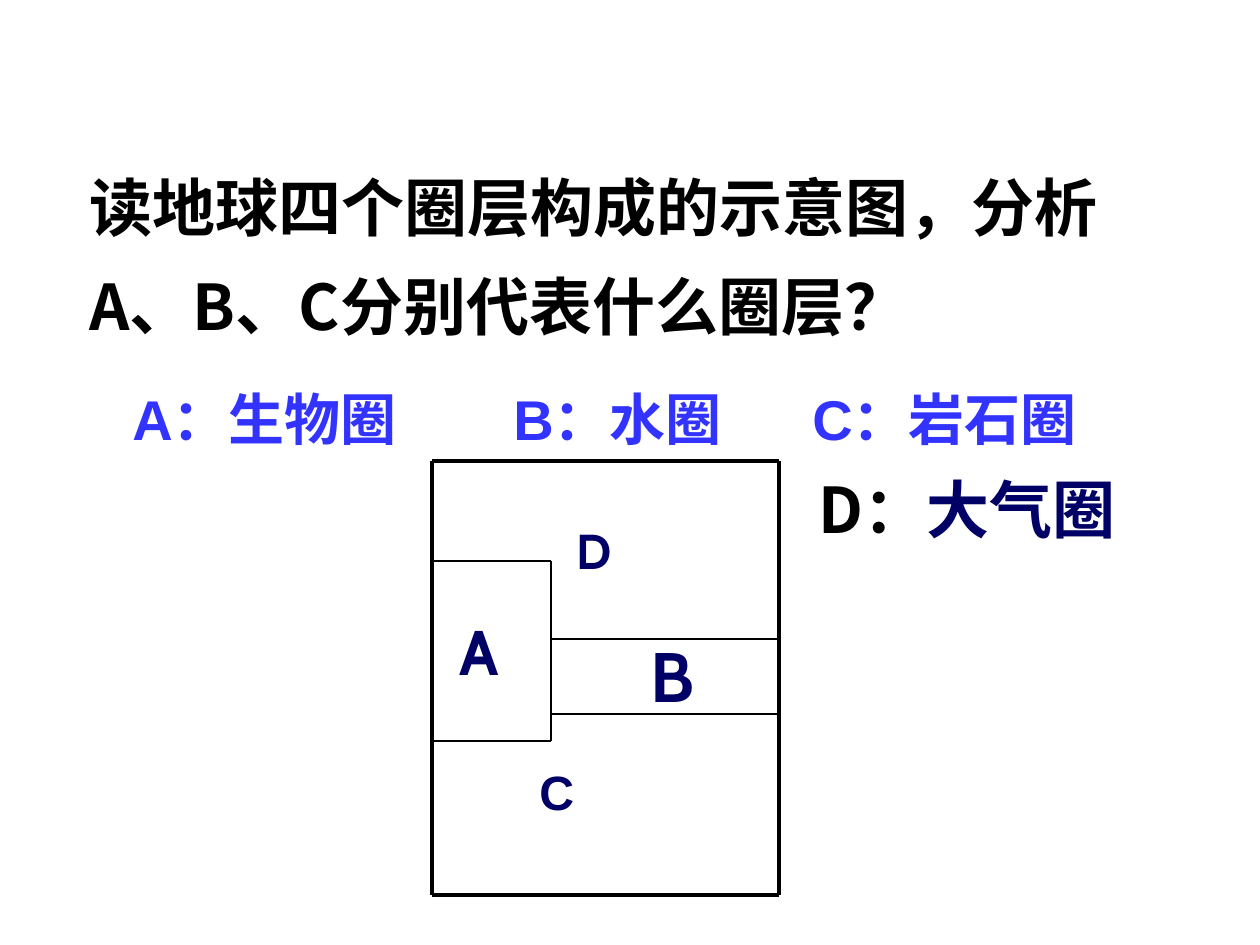
from typing import NamedTuple

from lxml import etree
from pptx import Presentation
from pptx.dml.color import RGBColor
from pptx.enum.shapes import MSO_CONNECTOR
from pptx.enum.text import MSO_AUTO_SIZE
from pptx.oxml.ns import qn
from pptx.util import Pt

PX = 914400 // 126
STRAIGHT = MSO_CONNECTOR.STRAIGHT
NO_AUTOSIZE = MSO_AUTO_SIZE.NONE
BLACK, NAVY, BLUE = "000000", "000066", "3333FF"
CHINESE_FONT = "Noto Sans CJK SC"


class Span(NamedTuple):
    text: str
    font: str
    color: str


class Label(NamedTuple):
    left: int
    top: int
    width: int
    height: int
    size: float
    spans: list[Span]
    line_spacing: float = 1.0
    tab_stops: tuple[int, ...] = ()


class Line(NamedTuple):
    x1: int
    y1: int
    x2: int
    y2: int
    weight: float


LEFT, TOP, RIGHT, BOTTOM = 432, 461, 779, 895
DIVIDER = 551
A_TOP, A_BOTTOM = 561, 741
B_TOP, B_BOTTOM = 639, 714
FRAME_WEIGHT, INNER_WEIGHT = 2.25, 1

LINES = [
    *(Line(LEFT, y, RIGHT, y, FRAME_WEIGHT) for y in (TOP, BOTTOM)),
    *(Line(x, TOP, x, BOTTOM, FRAME_WEIGHT) for x in (LEFT, RIGHT)),
    *(Line(DIVIDER, y, RIGHT, y, INNER_WEIGHT) for y in (B_TOP, B_BOTTOM)),
    *(Line(LEFT, y, DIVIDER, y, INNER_WEIGHT) for y in (A_TOP, A_BOTTOM)),
    Line(DIVIDER, A_TOP, DIVIDER, A_BOTTOM, INNER_WEIGHT),
]

LABELS = [
    Label(527, 756, 162, 76, 27.5, [Span("C", "Arial", NAVY)]),
    Label(447, 606, 145, 88, 36, [Span("A", "Cabin", NAVY)]),
    Label(564, 514, 355, 72, 28, [Span("D", "Cabin", NAVY)]),
    Label(638, 626, 101, 97, 40, [Span("B", "Cabin", NAVY)]),
    Label(77, 140, 1106, 209, 36,
          [Span("读地球四个圈层构成的示意图，分析A、B、C分别代表什么圈层？",
                CHINESE_FONT, BLACK)], 1.3),
    Label(120, 378, 1000, 81, 32,
          [Span("A：生物圈\tB：水圈\tC：岩石圈", "Arial", BLUE)],
          tab_stops=(381, 680)),
    Label(806, 442, 339, 111, 36,
          [Span("D：", CHINESE_FONT, BLACK), Span("大气圈", "Cabin", NAVY)], 1.3),
]


def rgb(color: str) -> RGBColor:
    return RGBColor.from_string(color)


def add_tab_stops(para, stops: tuple[int, ...]) -> None:
    properties = para._p.get_or_add_pPr()
    tab_list = etree.Element(qn("a:tabLst"))
    for stop in stops:
        etree.SubElement(tab_list, qn("a:tab"), pos=str(stop * PX), algn="l")
    properties.find(qn("a:defRPr")).addprevious(tab_list)


def style_font(font, span: Span) -> None:
    font.name = span.font
    font.color.rgb = rgb(span.color)


def add_label(slide, label: Label) -> None:
    box = slide.shapes.add_textbox(label.left * PX, label.top * PX,
                                   label.width * PX, label.height * PX)
    frame = box.text_frame
    frame.word_wrap = True
    frame.auto_size = NO_AUTOSIZE
    para = frame.paragraphs[0]
    para.line_spacing = label.line_spacing
    para.font.size = Pt(label.size)
    para.font.bold = True
    for span in label.spans:
        run = para.add_run()
        run.text = span.text
        style_font(para.font if len(label.spans) == 1 else run.font, span)
    if label.tab_stops:
        add_tab_stops(para, label.tab_stops)


def add_line(slide, line: Line) -> None:
    connector = slide.shapes.add_connector(
        STRAIGHT, line.x1 * PX, line.y1 * PX, line.x2 * PX, line.y2 * PX)
    connector.line.color.rgb = rgb(BLACK)
    connector.line.width = Pt(line.weight)
    etree.SubElement(connector._element.spPr, qn("a:effectLst"))


def main() -> None:
    deck = Presentation()
    deck.slide_width, deck.slide_height = 1260 * PX, 945 * PX
    slide = deck.slides.add_slide(deck.slide_layouts[6])
    for line in LINES:
        add_line(slide, line)
    for label in LABELS:
        add_label(slide, label)
    deck.save("out.pptx")


if __name__ == "__main__":
    main()
